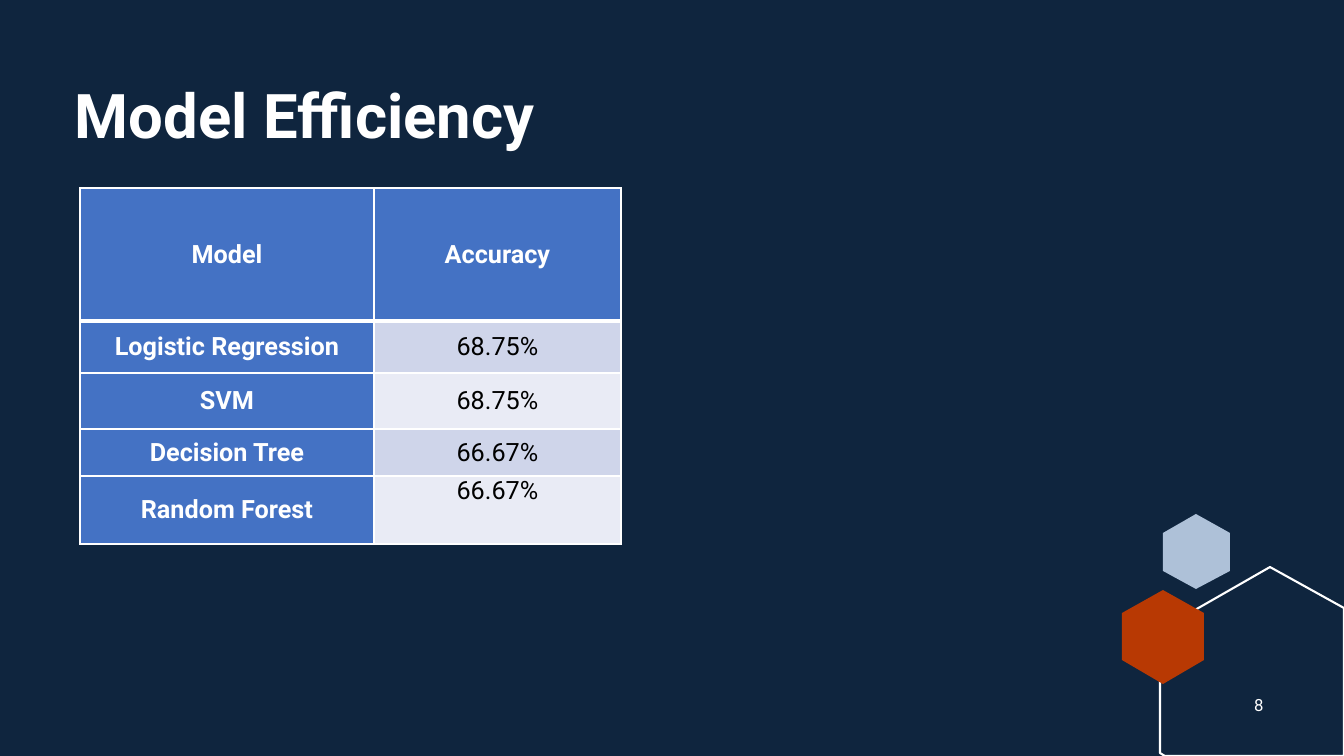
from lxml import etree
from pptx import Presentation
from pptx.dml.color import RGBColor
from pptx.enum.text import MSO_ANCHOR, PP_ALIGN
from pptx.util import Pt

PX = 914400 / 100.8
NS = "http://schemas.openxmlformats.org/drawingml/2006/main"
TOP, MIDDLE = MSO_ANCHOR.TOP, MSO_ANCHOR.MIDDLE
LEFT, CENTER = PP_ALIGN.LEFT, PP_ALIGN.CENTER
FONT = "Roboto"
COLORS = {
    "navy": "0F253E", "white": "FFFFFF", "black": "000000",
    "mist": "AEC1D8", "rust": "B83903", "blue": "4472C4",
    "dark": "CFD5EA", "light": "E9EBF5",
}


def rgb(name):
    return RGBColor.from_string(COLORS[name])


def write(frame, text, size, color, bold, align, anchor):
    frame.word_wrap = True
    frame.vertical_anchor = anchor
    para = frame.paragraphs[0]
    para.alignment = align
    run = para.add_run()
    run.text = text
    run.font.name = FONT
    run.font.size = Pt(size)
    run.font.bold = bold
    run.font.color.rgb = rgb(color)
    return para


deck = Presentation()
deck.slide_width, deck.slide_height = round(1344 * PX), round(756 * PX)
slide = deck.slides.add_slide(deck.slide_layouts[6])
slide.background.fill.solid()
slide.background.fill.fore_color.rgb = rgb("navy")
shapes = slide.shapes

# Hexagons in the corner: points, fill, line
small = [(1196, 514), (1230, 533), (1230, 571), (1196, 589), (1163, 571), (1163, 533)]
frame = [(1270, 567), (1344, 608), (1344, 756), (1165, 756), (1160, 753), (1160, 630)]
large = [(1163, 590), (1204, 613), (1204, 660), (1163, 684), (1122, 660), (1122, 613)]
for points, fill, line in [(small, "mist", None), (frame, None, "white"), (large, "rust", None)]:
    pen = shapes.build_freeform(*points[0], scale=PX)
    pen.add_line_segments(points[1:], close=True)
    hexagon = pen.convert_to_shape()
    hexagon.shadow.inherit = False
    if fill:
        hexagon.fill.solid()
        hexagon.fill.fore_color.rgb = rgb(fill)
    else:
        hexagon.fill.background()
    if line:
        hexagon.line.color.rgb = rgb(line)
        hexagon.line.width = Pt(1.5)
    else:
        hexagon.line.fill.background()

# Title and page number
for text, box, size, bold, align, anchor, space in [
    ("Model Efficiency", (65, 80, 1200, 86), 44, True, LEFT, TOP, 0.9),
    ("8", (1234, 685, 50, 40), 12, False, CENTER, MIDDLE, 1.0),
]:
    label = shapes.add_textbox(*[round(n * PX) for n in box])
    para = write(label.text_frame, text, size, "white", bold, align, anchor)
    para.line_spacing = space

# Accuracy table
rows = [
    ("Model", "Accuracy"),
    ("Logistic Regression", "68.75%"),
    ("SVM", "68.75%"),
    ("Decision Tree", "66.67%"),
    ("Random Forest", "66.67%"),
]
widths = [294, 247]
heights = [133, 52, 56, 47, 68]
box = (80, 188, sum(widths), sum(heights))
table = shapes.add_table(len(rows), 2, *[round(n * PX) for n in box]).table
table.first_row = table.horz_banding = False
for col, width in zip(table.columns, widths):
    col.width = round(width * PX)
for r, (row, height) in enumerate(zip(rows, heights)):
    table.rows[r].height = round(height * PX)
    for c, text in enumerate(row):
        cell = table.cell(r, c)
        head = r == 0 or c == 0
        cell.margin_left = cell.margin_right = cell.margin_top = cell.margin_bottom = 0
        last = r == len(rows) - 1 and c == 1
        anchor = TOP if last else MIDDLE
        write(cell.text_frame, text, 18, "white" if head else "black", head, CENTER, anchor)
        cell.vertical_anchor = anchor
        cell.fill.solid()
        cell.fill.fore_color.rgb = rgb("blue" if head else "dark" if r % 2 else "light")
        props = cell._tc.get_or_add_tcPr()
        for i, side in enumerate("LRTB"):
            thick = (r, side) in [(0, "B"), (1, "T")]
            edge = etree.Element(f"{{{NS}}}ln{side}", w=str(Pt(3 if thick else 1)))
            solid = etree.SubElement(edge, f"{{{NS}}}solidFill")
            etree.SubElement(solid, f"{{{NS}}}srgbClr", val=COLORS["white"])
            props.insert(i, edge)

deck.save("out.pptx")
